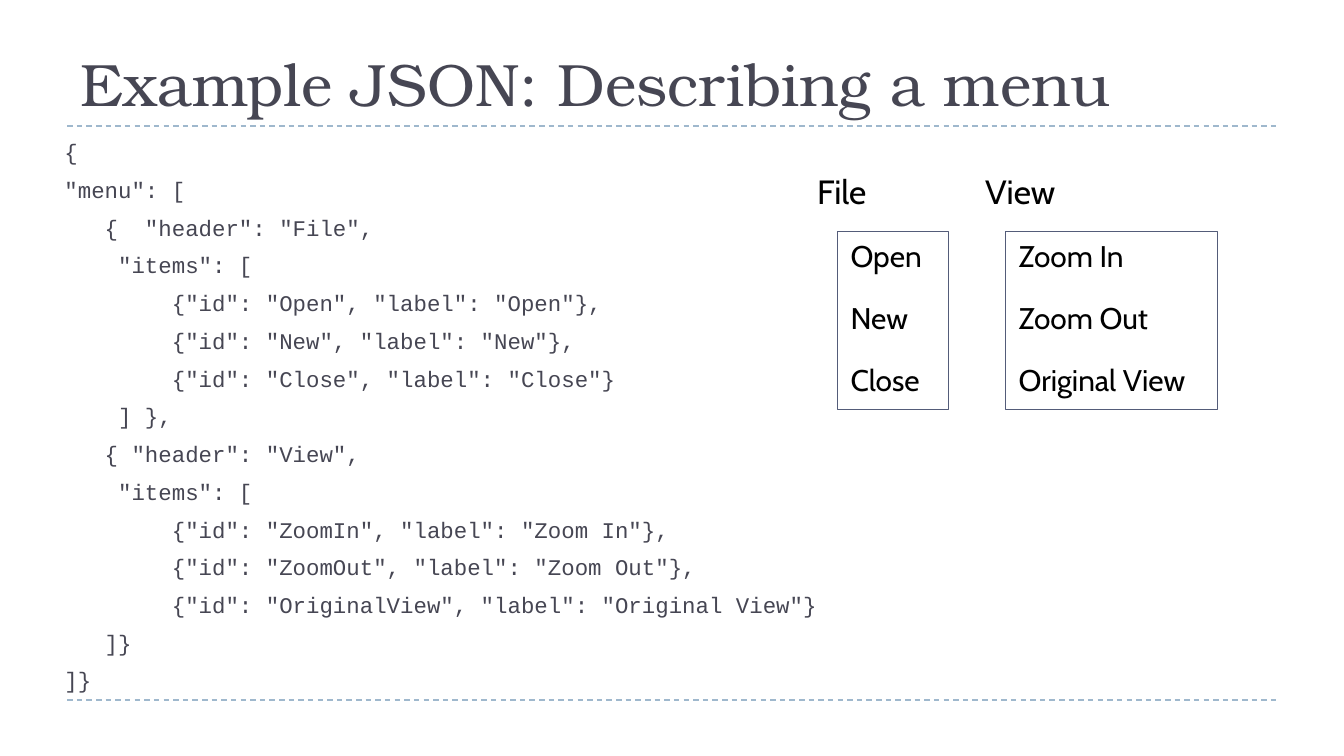
from lxml.etree import SubElement
from pptx import Presentation
from pptx.dml.color import RGBColor
from pptx.enum.dml import MSO_LINE
from pptx.enum.shapes import MSO_CONNECTOR, MSO_SHAPE
from pptx.enum.text import MSO_ANCHOR
from pptx.oxml.ns import qn
from pptx.util import Pt

CODE = """{
"menu": [
   {  "header": "File",
    "items": [
        {"id": "Open", "label": "Open"},
        {"id": "New", "label": "New"},
        {"id": "Close", "label": "Close"}
    ] },
   { "header": "View",
    "items": [
        {"id": "ZoomIn", "label": "Zoom In"},
        {"id": "ZoomOut", "label": "Zoom Out"},
        {"id": "OriginalView", "label": "Original View"}
    ]}
]}""".replace("\n    ]}\n]}", "\n   ]}\n]}")

MENUS = [
    ("File", 430.6, 59.8, ["Open", "New", "Close"]),
    ("View", 520.6, 113.8, ["Zoom In", "Zoom Out", "Original View"]),
]


def color(value):
    """Return the colour for a hex string."""
    return RGBColor.from_string(value)


def add_text(page, box, lines, font, size, ink="000000", wrap=False, space=0,
             anchor=MSO_ANCHOR.TOP):
    """Place lines of text, one paragraph each, in a box."""
    frame = page.shapes.add_textbox(*map(Pt, box)).text_frame
    frame.word_wrap = wrap
    frame.vertical_anchor = anchor
    for index, line in enumerate(lines):
        para = frame.add_paragraph() if index else frame.paragraphs[0]
        para.text = line
        para.space_before = Pt(space)
        para.font.name = font
        para.font.size = Pt(size)
        para.font.color.rgb = color(ink)


def add_rule(page, left, top, width):
    """Draw a dashed horizontal rule."""
    rule = page.shapes.add_connector(
        MSO_CONNECTOR.STRAIGHT, Pt(left), Pt(top), Pt(left + width), Pt(top))
    rule.line.color.rgb = color("9FB8CD")
    rule.line.width = Pt(0.75)
    rule.line.dash_style = MSO_LINE.DASH
    SubElement(rule._element.spPr, qn("a:effectLst"))


def add_title(page, left, top, width, height):
    """Place the title along the bottom of its box."""
    add_text(page, (left, top, width, height), ["Example JSON: Describing a menu"],
             "TeX Gyre Bonum", 32, "464653", True, anchor=MSO_ANCHOR.BOTTOM)


def add_code(page, left, top, width, height):
    """Place the JSON listing."""
    add_text(page, (left, top, width, height), CODE.split("\n"),
             "Courier New", 12, "464653", True, 5.8)


def add_menu(page, left, top, width, header, items):
    """Place a menu header with its framed items below."""
    add_text(page, (left, top, 54, 29), [header], "Cabin", 18)
    inner, first, pitch = left + 18, top + 36, 33.1
    for index, item in enumerate(items):
        add_text(page, (inner, first + index * pitch, width, 26.6), [item], "Cabin", 16)
    frame = page.shapes.add_shape(
        MSO_SHAPE.RECTANGLE, Pt(inner), Pt(first), Pt(width), Pt(95.8))
    frame.shadow.inherit = False
    frame.fill.background()
    frame.line.color.rgb = color("545C79")
    frame.line.width = Pt(0.5)


def main():
    """Build and save the slide."""
    deck = Presentation()
    deck.slide_width, deck.slide_height = Pt(720), Pt(405)
    page = deck.slides.add_slide(deck.slide_layouts[6])
    for top in (67.5, 375):
        add_rule(page, 36, top, 648)
    add_title(page, 36, 8.6, 648, 58.3)
    add_code(page, 27.4, 70.6, 450, 316.8)
    for header, left, width, items in MENUS:
        add_menu(page, left, 87.8, width, header, items)
    deck.save("out.pptx")


if __name__ == "__main__":
    main()
